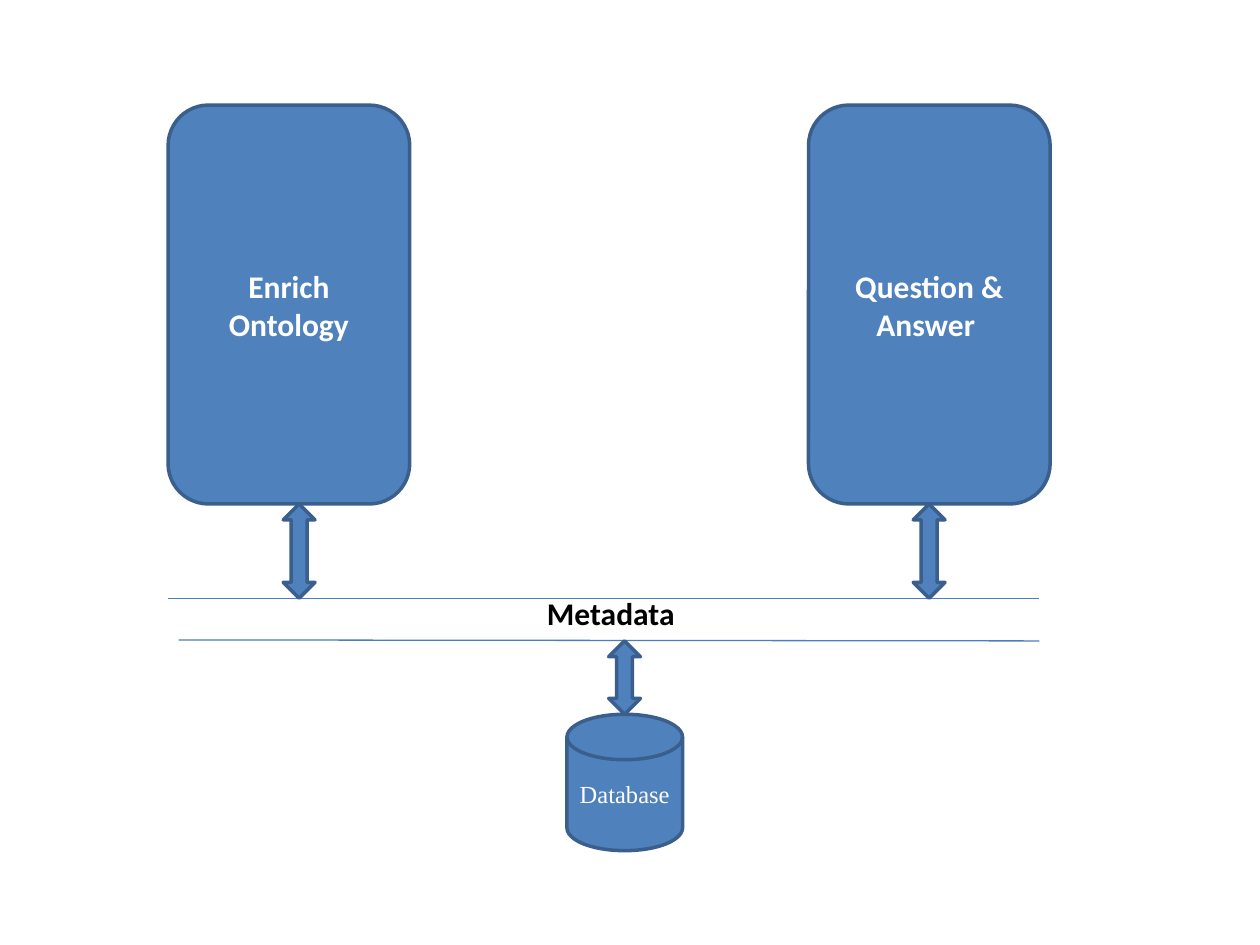
from pptx import Presentation
from pptx.dml.color import RGBColor
from pptx.enum.shapes import MSO_CONNECTOR, MSO_SHAPE
from pptx.enum.text import MSO_ANCHOR, PP_ALIGN
from pptx.oxml.ns import qn
from pptx.util import Cm, Pt
from lxml import etree

BOX, ARROW, DISK = (MSO_SHAPE.ROUNDED_RECTANGLE, MSO_SHAPE.LEFT_RIGHT_ARROW,
                    MSO_SHAPE.FLOWCHART_MAGNETIC_DISK)
STRAIGHT = MSO_CONNECTOR.STRAIGHT
CENTER = PP_ALIGN.CENTER
MIDDLE, TOP = MSO_ANCHOR.MIDDLE, MSO_ANCHOR.TOP

COLORS = {"fill": "4F81BD", "outline": "3A5F8C", "bus": "4B7EBC",
          "light": "FFFFFF", "dark": "000000"}

# Content, lengths in centimetres
MODULES = [("Enrich Ontology", 3.39), ("Question & Answer ", 16.3)]
MODULE_TOP, MODULE_WIDTH, MODULE_HEIGHT = 2.12, 4.87, 8.04
DATABASE = ("Database", (11.43, 14.4, 2.33, 2.75))
METADATA = ("Metadata ", (8.89, 11.86, 6.99, 1.02))
BUS_RIGHT = 20.95
BUS_LINES = [(3.39, 12.07, 12.07), (3.6, 12.9, 12.92)]  # left, left y, right y
ARROWS = [(6.03, 10.16, 1.9), (18.73, 10.16, 1.9), (12.59, 12.92, 1.48)]  # centre, top, length
ARROW_WIDTH = 0.64


def color(name):
    return RGBColor.from_string(COLORS[name])


def add_text(shape, text, size, font, ink, bold=False, anchor=MIDDLE):
    frame = shape.text_frame
    frame.word_wrap = True
    frame.vertical_anchor = anchor
    para = frame.paragraphs[0]
    para.alignment = CENTER
    span = para.add_run()
    span.text = text
    span.font.size, span.font.name, span.font.bold = Pt(size), font, bold
    span.font.color.rgb = color(ink)


def add_block(kind, place):
    shape = page.shapes.add_shape(kind, *map(Cm, place))
    shape.shadow.inherit = False
    shape.fill.solid()
    shape.fill.fore_color.rgb = color("fill")
    shape.line.color.rgb = color("outline")
    shape.line.width = Pt(2)
    return shape


deck = Presentation()
deck.slide_width, deck.slide_height = Cm(25.4), Cm(19.05)
page = deck.slides.add_slide(deck.slide_layouts[6])

# Database
name, place = DATABASE
disk = add_block(DISK, place)
disk.text_frame.margin_left = disk.text_frame.margin_right = 0
add_text(disk, name, 14, "Times New Roman", "light")

# Metadata bus
for left, left_y, right_y in BUS_LINES:
    line = page.shapes.add_connector(STRAIGHT, Cm(BUS_RIGHT), Cm(right_y),
                                     Cm(left), Cm(left_y))
    line.line.color.rgb = color("bus")
    line.line.width = Pt(0.75)
    etree.SubElement(line._element.spPr, qn("a:effectLst"))
label, place = METADATA
box = page.shapes.add_textbox(*map(Cm, place))
add_text(box, label, 18, "Calibri", "dark", True, TOP)

# Modules
for name, left in MODULES:
    module = add_block(BOX, (left, MODULE_TOP, MODULE_WIDTH, MODULE_HEIGHT))
    add_text(module, name, 18, "Calibri", "light", True)

# Vertical double arrows, turned about their centres
for center, top, length in ARROWS:
    middle = top + length / 2
    arrow = add_block(ARROW, (center - length / 2, middle - ARROW_WIDTH / 2,
                              length, ARROW_WIDTH))
    arrow.rotation = 90

deck.save("out.pptx")
